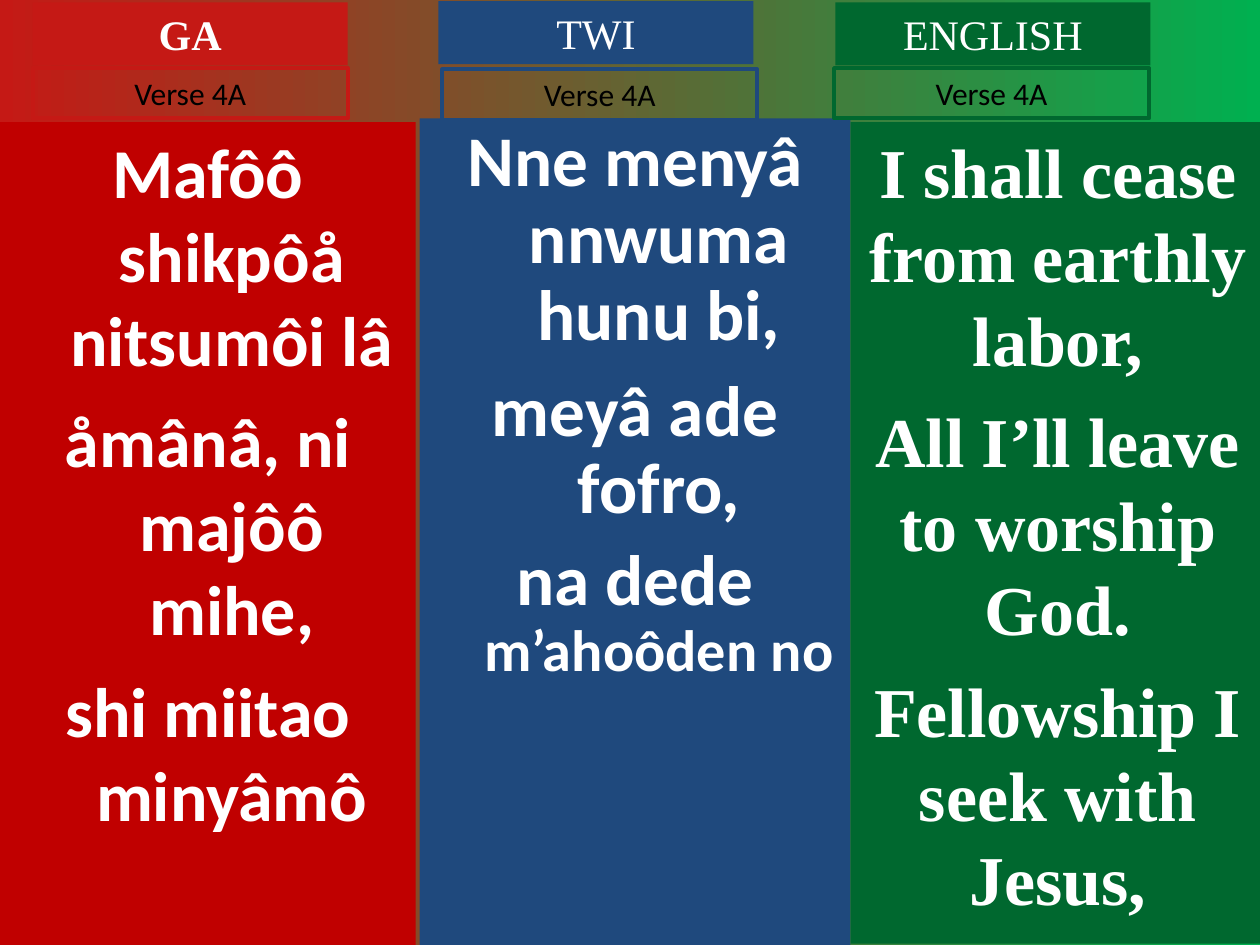
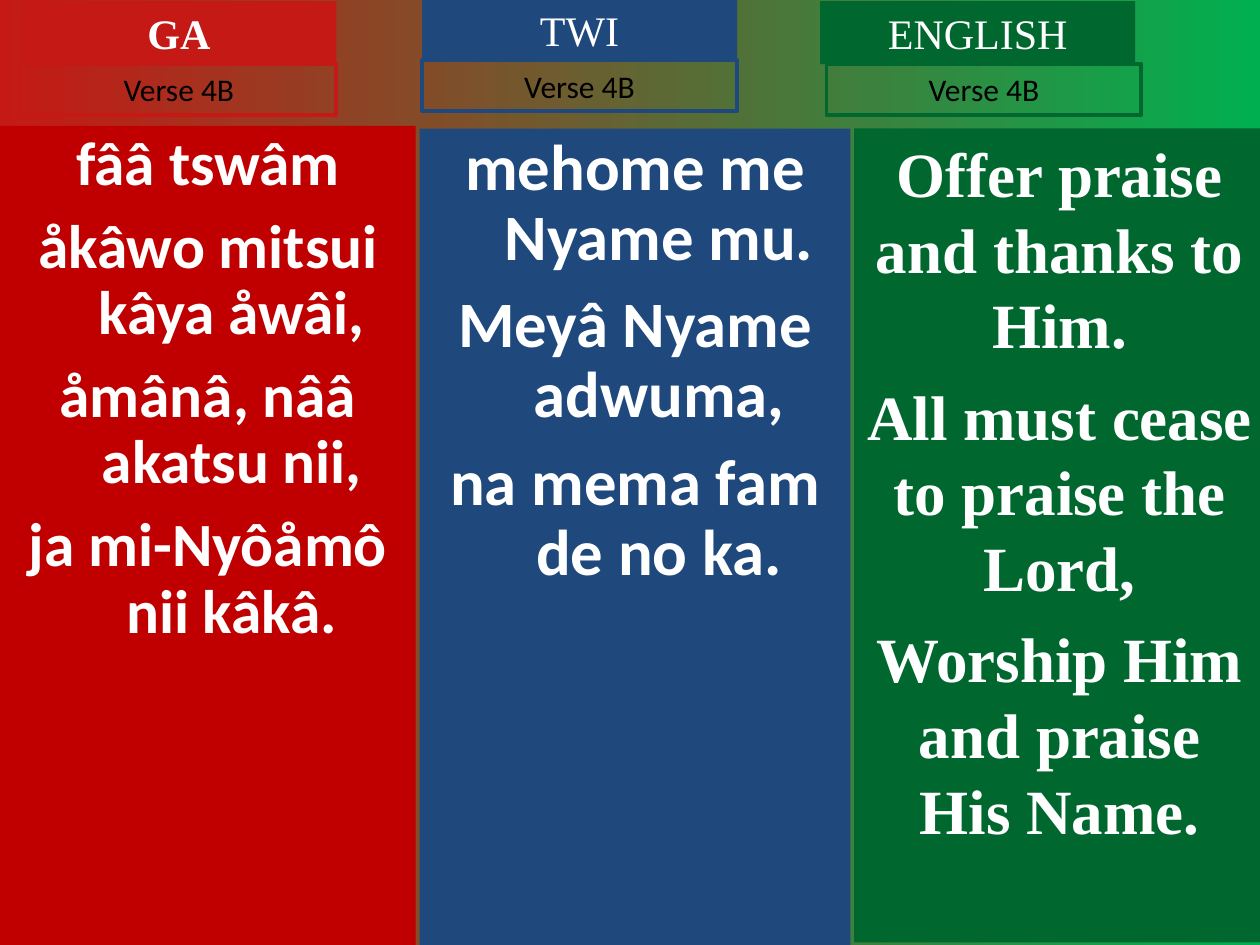
"""Builds two slides of a hymn verse in Ga, Twi and English side by side."""
from pptx import Presentation
from pptx import util as u
from pptx.dml.color import RGBColor
from pptx.enum import shapes, text

PX = 9144
RED = RGBColor(0xC5, 0x19, 0x15)
DEEP_RED = RGBColor(0xC0, 0x00, 0x00)
BLUE = RGBColor(0x1F, 0x49, 0x7D)
GREEN = RGBColor(0x00, 0x68, 0x2F)
BRIGHT_GREEN = RGBColor(0x00, 0xB0, 0x50)
WHITE = RGBColor(0xFF, 0xFF, 0xFF)
BLACK = RGBColor(0x00, 0x00, 0x00)
SANS, SERIF = "Calibri", "Times New Roman"
TAG_WIDTH, NAME_HEIGHT, VERSE_HEIGHT = 250, 50, 40
HANG = 38

LANGUAGES = {
    "GA": dict(accent=RED, panel=DEEP_RED, font=SANS, hang=HANG, bold_name=True),
    "TWI": dict(accent=BLUE, panel=BLUE, font=SANS, hang=HANG, bold_name=False),
    "ENGLISH": dict(accent=GREEN, panel=GREEN, font=SERIF, hang=0, bold_name=False),
}

VERSES = {
    "Verse 4A": {
        "GA": dict(
            panel=(0, 97, 330, 653), name=(26, 2), verse=(26, 54),
            size=40, before=10, spacing=1,
            lines=["Mafôô shikpôå nitsumôi lâ", "åmânâ, ni majôô mihe,",
                   "shi miitao minyâmô"]),
        "TWI": dict(
            panel=(333, 94, 342, 656), name=(348, 1), verse=(351, 55),
            size=40.7, before=(11, 11, 9), spacing=0.9,
            lines=["Nne menyâ nnwuma hunu bi,", "meyâ ade fofro,",
                   ["na dede ", ("m’ahoôden no", 33.3)]]),
        "ENGLISH": dict(
            panel=(675, 97, 329, 652), name=(663, 2), verse=(662, 54),
            size=40, before=10, spacing=1,
            lines=["I shall cease from earthly labor,",
                   "All I’ll leave to worship God.",
                   "Fellowship I seek with Jesus,"]),
    },
    "Verse 4B": {
        "GA": dict(
            panel=(0, 100, 330, 650), name=(17, 1), verse=(17, 51),
            size=35.1, before=9.5, spacing=0.9,
            lines=["fââ tswâm", "åkâwo mitsui kâya åwâi,",
                   "åmânâ, nââ akatsu nii,", "ja mi-Nyôåmô nii kâkâ."]),
        "TWI": dict(
            panel=(333, 102, 342, 648), name=(335, -1), verse=(335, 48),
            size=37, before=10, spacing=0.9,
            lines=["mehome me Nyame mu.", "Meyâ Nyame adwuma,",
                   "na mema fam de no ka."]),
        "ENGLISH": dict(
            panel=(678, 102, 326, 646), name=(651, 1), verse=(656, 51),
            size=36, before=9, spacing=1,
            lines=["Offer praise and thanks to Him.",
                   "All must cease to praise the Lord,",
                   "Worship Him and praise His Name."]),
    },
}


def write(frame, lines, *, size, font, color, bold=False, before=0, spacing=None, hang=0):
    """Fill a frame with centred paragraphs; a line may be a list of runs with own sizes."""
    for index, line in enumerate(lines):
        paragraph = frame.paragraphs[0] if index == 0 else frame.add_paragraph()
        paragraph.alignment = text.PP_ALIGN.CENTER
        if spacing:
            paragraph.line_spacing = spacing
        if index:
            paragraph.space_before = u.Pt(before[index] if isinstance(before, tuple) else before)
        if hang:
            properties = paragraph._p.get_or_add_pPr()
            properties.set("marL", str(hang * PX))
            properties.set("indent", str(-hang * PX))
        for part in line if isinstance(line, list) else [line]:
            words, points = part if isinstance(part, tuple) else (part, size)
            run = paragraph.add_run()
            run.text = words
            run.font.size = u.Pt(points)
            run.font.name = font
            run.font.bold = bold
            run.font.color.rgb = color


class Hymn:
    """Holds the presentation, its style and the current slide."""

    def __init__(self):
        self.deck = Presentation()
        self.deck.slide_width, self.deck.slide_height = 1000 * PX, 750 * PX
        self.slide = None

    def new_slide(self):
        """Start a blank slide on the red to green background."""
        self.slide = self.deck.slides.add_slide(self.deck.slide_layouts[6])
        fill = self.slide.background.fill
        fill.gradient()
        fill.gradient_angle = 0
        for stop, color, position in zip(fill.gradient_stops, (RED, BRIGHT_GREEN), (0, 1)):
            stop.color.rgb = color
            stop.position = position

    def box(self, place, fill=None, line=None):
        """Draw a rectangle and return its text frame."""
        rect = self.slide.shapes.add_shape(
            shapes.MSO_SHAPE.RECTANGLE, *(side * PX for side in place))
        rect.shadow.inherit = False
        if fill is None:
            rect.fill.background()
        else:
            rect.fill.solid()
            rect.fill.fore_color.rgb = fill
        if line is None:
            rect.line.fill.background()
        else:
            rect.line.color.rgb = line
            rect.line.width = u.Pt(2.25)
        frame = rect.text_frame
        frame.word_wrap = True
        frame.vertical_anchor = text.MSO_ANCHOR.TOP
        return frame

    def lyrics(self, style, part):
        """Draw the coloured panel with the lines of the verse."""
        write(self.box(part["panel"], fill=style["panel"]), part["lines"],
              size=part["size"], font=style["font"], color=WHITE, bold=True,
              before=part["before"], spacing=part["spacing"], hang=style["hang"])

    def language_name(self, language, style, place):
        """Draw the filled tag that names the language."""
        frame = self.box((*place, TAG_WIDTH, NAME_HEIGHT), fill=style["accent"])
        frame.auto_size = text.MSO_AUTO_SIZE.SHAPE_TO_FIT_TEXT
        write(frame, [language], size=24, font=SERIF, color=WHITE, bold=style["bold_name"])

    def verse_number(self, verse, style, place):
        """Draw the outlined tag that names the verse."""
        frame = self.box((*place, TAG_WIDTH, VERSE_HEIGHT), line=style["accent"])
        frame.auto_size = text.MSO_AUTO_SIZE.SHAPE_TO_FIT_TEXT
        write(frame, [verse], size=18, font=SANS, color=BLACK)


def main():
    """Build one slide for each verse."""
    hymn = Hymn()
    for verse, parts in VERSES.items():
        hymn.new_slide()
        for language, part in parts.items():
            style = LANGUAGES[language]
            hymn.lyrics(style, part)
            hymn.language_name(language, style, part["name"])
            hymn.verse_number(verse, style, part["verse"])
    hymn.deck.save("out.pptx")


if __name__ == "__main__":
    main()
